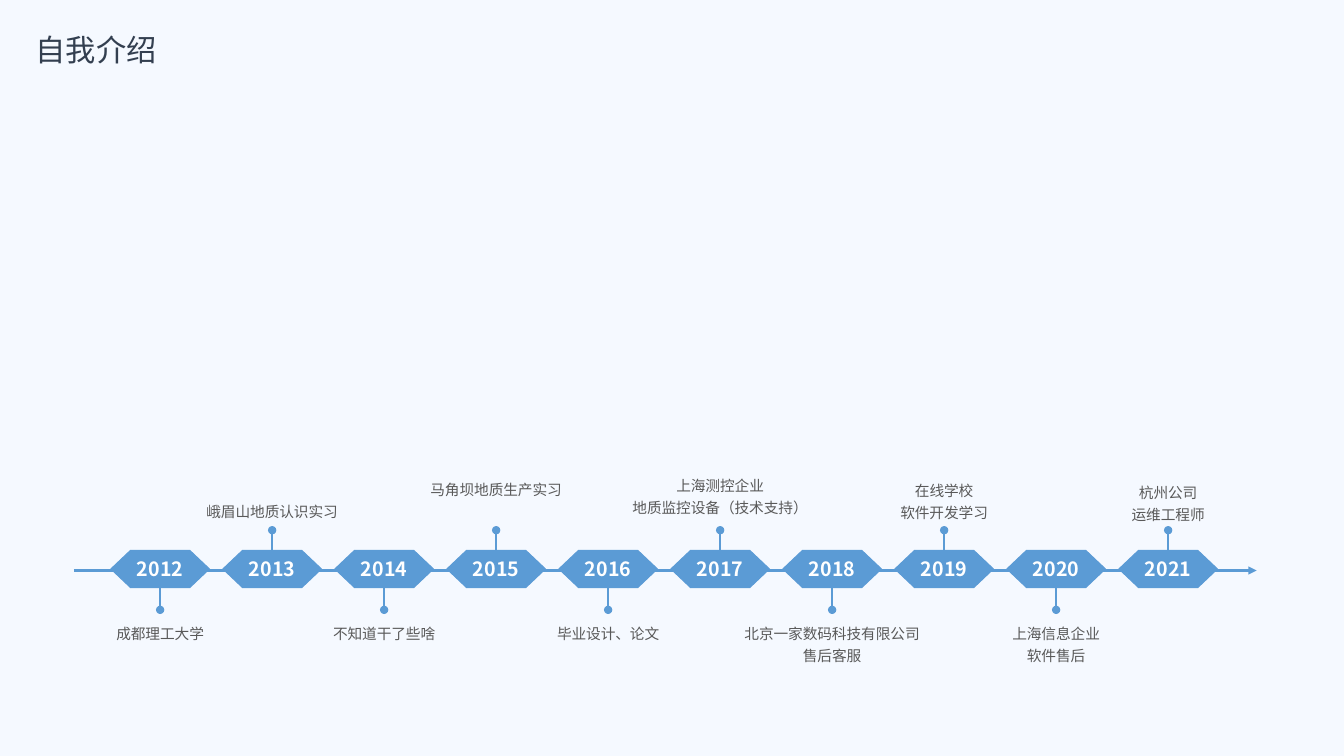
from dataclasses import dataclass

import lxml.etree
import pptx
import pptx.dml.color
import pptx.enum.shapes
import pptx.enum.text
import pptx.oxml.ns
import pptx.shapes.connector
import pptx.slide
import pptx.text.text
import pptx.util

WIDTH, HEIGHT = pptx.util.Inches(13.33), pptx.util.Inches(7.5)
COLUMNS, ROWS = 12, 15


@dataclass(frozen=True)
class Theme:
    font: str = "Noto Sans CJK SC"
    background: str = "F5F9FF"
    accent: str = "5B9BD5"
    title_color: str = "333F50"
    label_color: str = "595959"
    year_color: str = "FFFFFF"
    title_size: float = 21.6
    label_size: float = 10.5
    year_size: float = 14
    label_spacing: float = 16
    axis_line: float = 1.5
    stem_line: float = 1
    badge_line: float = 0.75


@dataclass(frozen=True)
class Milestone:
    year: str
    lines: tuple[str, ...]
    label_row: float


THEME = Theme()

# Vertical layout in rows, horizontal layout in columns
FIRST_CENTER = 1.43
AXIS_ROW = 11.32
BADGE_ROW, BADGE_ROWS, BADGE_COLUMNS = 10.92, 0.74, 0.88
LABEL_COLUMNS = 2
LOWER_LABEL_ROW = 12.2
LABEL_ROWS = {1: 0.64, 2: 1.1}
LOWER_STEM = (12.1, 11.46)
UPPER_STEM = (11.14, 10.52)

MILESTONES = (
    Milestone("2012", ("成都理工大学",), LOWER_LABEL_ROW),
    Milestone("2013", ("峨眉山地质认识实习",), 9.78),
    Milestone("2014", ("不知道干了些啥",), LOWER_LABEL_ROW),
    Milestone("2015", ("马角坝地质生产实习",), 9.34),
    Milestone("2016", ("毕业设计、论文",), LOWER_LABEL_ROW),
    Milestone("2017", ("上海测控企业", "地质监控设备（技术支持）"), 9.26),
    Milestone("2018", ("北京一家数码科技有限公司", "售后客服"), LOWER_LABEL_ROW),
    Milestone("2019", ("在线学校", "软件开发学习"), 9.36),
    Milestone("2020", ("上海信息企业", "软件售后"), LOWER_LABEL_ROW),
    Milestone("2021", ("杭州公司", "运维工程师"), 9.4),
)


def x(columns: float) -> int:
    return round(WIDTH * columns / COLUMNS)


def y(rows: float) -> int:
    return round(HEIGHT * rows / ROWS)


def rgb(color: str) -> pptx.dml.color.RGBColor:
    return pptx.dml.color.RGBColor.from_string(color)


def add_run(paragraph: pptx.text.text._Paragraph, text: str, size: float,
            color: str, bold: bool = False) -> None:
    run = paragraph.add_run()
    run.text = text
    run.font.size = pptx.util.Pt(size)
    run.font.bold = bold
    run.font.color.rgb = rgb(color)
    run.font.name = THEME.font
    east_asian = lxml.etree.SubElement(run.font._element, pptx.oxml.ns.qn("a:ea"))
    east_asian.set("typeface", THEME.font)


def add_line(slide: pptx.slide.Slide, start: tuple[float, float],
             end: tuple[float, float], weight: float, **ends: str) -> None:
    """Draw a line; ends gives the arrowhead type of headEnd and tailEnd."""
    connector = slide.shapes.add_connector(
        pptx.enum.shapes.MSO_CONNECTOR.STRAIGHT,
        x(start[0]), y(start[1]), x(end[0]), y(end[1]))
    connector.line.color.rgb = rgb(THEME.accent)
    connector.line.width = pptx.util.Pt(weight)
    properties = connector._element.spPr
    outline = properties.find(pptx.oxml.ns.qn("a:ln"))
    for name, kind in ends.items():
        lxml.etree.SubElement(outline, pptx.oxml.ns.qn(f"a:{name}")).set("type", kind)
    lxml.etree.SubElement(properties, pptx.oxml.ns.qn("a:effectLst"))


def add_title(slide: pptx.slide.Slide, text: str) -> None:
    shape = slide.shapes.add_textbox(x(0.23), y(0.54), x(9.69), y(0.98))
    frame = shape.text_frame
    frame.word_wrap = True
    frame.vertical_anchor = pptx.enum.text.MSO_ANCHOR.MIDDLE
    paragraph = frame.paragraphs[0]
    paragraph.line_spacing = 0.9
    add_run(paragraph, text, THEME.title_size, THEME.title_color)


def add_label(slide: pptx.slide.Slide, milestone: Milestone, center: float) -> None:
    shape = slide.shapes.add_textbox(
        x(center - LABEL_COLUMNS / 2), y(milestone.label_row),
        x(LABEL_COLUMNS), y(LABEL_ROWS[len(milestone.lines)]))
    frame = shape.text_frame
    frame.word_wrap = True
    frame.auto_size = pptx.enum.text.MSO_AUTO_SIZE.SHAPE_TO_FIT_TEXT
    for index, text in enumerate(milestone.lines):
        paragraph = frame.add_paragraph() if index else frame.paragraphs[0]
        paragraph.alignment = pptx.enum.text.PP_ALIGN.CENTER
        paragraph.line_spacing = pptx.util.Pt(THEME.label_spacing)
        add_run(paragraph, text, THEME.label_size, THEME.label_color)


def add_badge(slide: pptx.slide.Slide, year: str, center: float) -> None:
    shape = slide.shapes.add_shape(
        pptx.enum.shapes.MSO_SHAPE.FLOWCHART_PREPARATION,
        x(center - BADGE_COLUMNS / 2), y(BADGE_ROW), x(BADGE_COLUMNS), y(BADGE_ROWS))
    shape.shadow.inherit = False
    shape.fill.solid()
    shape.fill.fore_color.rgb = rgb(THEME.accent)
    shape.line.color.rgb = rgb(THEME.accent)
    shape.line.width = pptx.util.Pt(THEME.badge_line)
    frame = shape.text_frame
    frame.margin_left = frame.margin_right = frame.margin_top = frame.margin_bottom = 0
    frame.vertical_anchor = pptx.enum.text.MSO_ANCHOR.MIDDLE
    paragraph = frame.paragraphs[0]
    paragraph.alignment = pptx.enum.text.PP_ALIGN.CENTER
    add_run(paragraph, year, THEME.year_size, THEME.year_color, bold=True)


def add_milestone(slide: pptx.slide.Slide, milestone: Milestone, center: float) -> None:
    below = milestone.label_row > AXIS_ROW
    start, end = LOWER_STEM if below else UPPER_STEM
    add_line(slide, (center, start), (center, end), THEME.stem_line,
             headEnd="oval", tailEnd="oval")
    add_label(slide, milestone, center)
    add_badge(slide, milestone.year, center)


def main() -> None:
    presentation = pptx.Presentation()
    presentation.slide_width, presentation.slide_height = WIDTH, HEIGHT
    slide = presentation.slides.add_slide(presentation.slide_layouts[6])
    slide.background.fill.solid()
    slide.background.fill.fore_color.rgb = rgb(THEME.background)

    # Title
    add_title(slide, "自我介绍")

    # Timeline: one milestone per grid column
    add_line(slide, (0.66, AXIS_ROW), (11.22, AXIS_ROW), THEME.axis_line,
             tailEnd="triangle")
    for index, milestone in enumerate(MILESTONES):
        add_milestone(slide, milestone, FIRST_CENTER + index)

    presentation.save("out.pptx")


if __name__ == "__main__":
    main()
